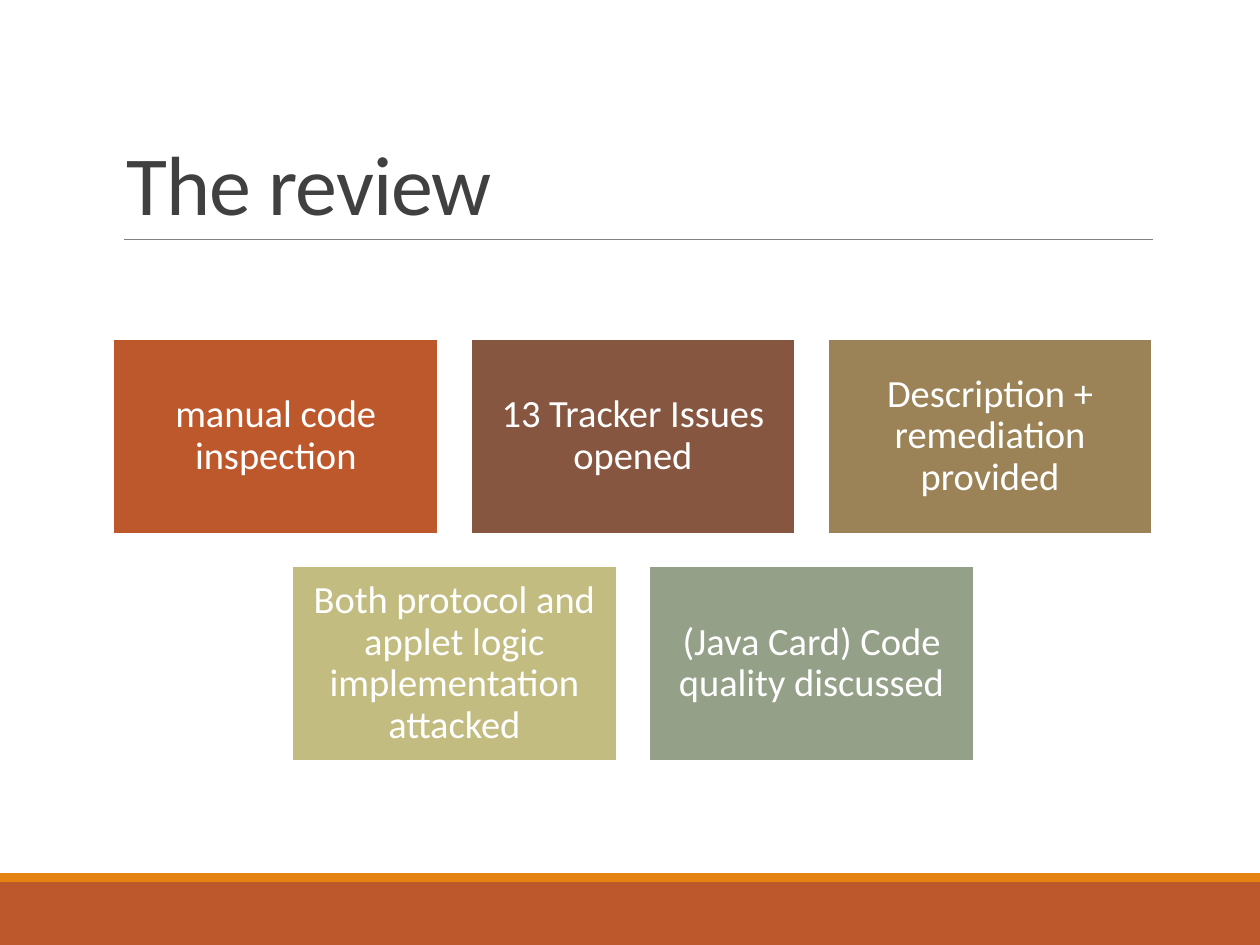
from pptx import Presentation
from pptx import util as u
from pptx.dml.color import RGBColor
from pptx.enum import shapes, text
from lxml import etree

COLORS = {
    "rust": "BD582C", "orange": "E48312", "brown": "865640", "tan": "9B8357",
    "olive": "C2BC80", "sage": "94A088", "rule": "808080",
    "heading": "404040", "white": "FFFFFF",
}


def write(shape, words, size, color, align, anchor, spacing, margins, tracking=0):
    """Put one formatted paragraph into a shape; margins are (sides, top and bottom) in cm."""
    frame = shape.text_frame
    frame.word_wrap = True
    frame.auto_size = text.MSO_AUTO_SIZE.NONE
    frame.vertical_anchor = anchor
    frame.margin_left = frame.margin_right = u.Cm(margins[0])
    frame.margin_top = frame.margin_bottom = u.Cm(margins[1])
    paragraph = frame.paragraphs[0]
    paragraph.alignment = align
    paragraph.line_spacing = spacing
    run = paragraph.add_run()
    run.text = words
    run.font.name = "Calibri"
    run.font.size = u.Pt(size)
    run.font.color.rgb = RGBColor.from_string(COLORS[color])
    if tracking:
        run.font._element.set("spc", str(int(tracking * 100)))


def add_block(left, top, width, height, color, outline=None):
    """Draw a filled rectangle, measured in cm, with an optional outline."""
    block = slide.shapes.add_shape(
        shapes.MSO_SHAPE.RECTANGLE, u.Cm(left), u.Cm(top), u.Cm(width), u.Cm(height))
    block.shadow.inherit = False
    block.fill.solid()
    block.fill.fore_color.rgb = RGBColor.from_string(COLORS[color])
    if outline:
        block.line.color.rgb = RGBColor.from_string(COLORS[outline])
        block.line.width = u.Pt(1.25)
    else:
        block.line.fill.background()
    return block


deck = Presentation()
deck.slide_width, deck.slide_height = u.Cm(25.4), u.Cm(19.05)
slide = deck.slides.add_slide(deck.slide_layouts[5])

# Footer bands
add_block(0, 17.78, 25.4, 1.27, "rust")
add_block(0, 17.6, 25.4, 0.18, "orange")

# Title and the rule below it
title = slide.shapes.title
title.left, title.top = u.Cm(2.29), u.Cm(0.79)
title.width, title.height = u.Cm(20.95), u.Cm(4.04)
write(title, "The review", size=48, color="heading", align=text.PP_ALIGN.LEFT,
      anchor=text.MSO_ANCHOR.BOTTOM, spacing=0.85, margins=(0.25, 0.13), tracking=-0.5)

title_rule = slide.shapes.add_connector(
    shapes.MSO_CONNECTOR.STRAIGHT, u.Cm(2.49), u.Cm(4.83), u.Cm(23.24), u.Cm(4.83))
title_rule.line.color.rgb = RGBColor.from_string(COLORS["rule"])
title_rule.line.width = u.Pt(0.5)
etree.SubElement(
    title_rule._element.spPr,
    "{http://schemas.openxmlformats.org/drawingml/2006/main}effectLst")

# Findings: rows of equal cards, each row centred on the same axis
card_width, card_height, gap = 6.55, 3.93, 0.65
center, first_top = 12.76, 6.83
finding_rows = [
    [("manual code inspection", "rust"),
     ("13 Tracker Issues opened", "brown"),
     ("Description + remediation provided", "tan")],
    [("Both protocol and applet logic implementation attacked", "olive"),
     ("(Java Card) Code quality discussed", "sage")],
]
for row, findings in enumerate(finding_rows):
    row_width = len(findings) * (card_width + gap) - gap
    top = first_top + row * (card_height + gap)
    for column, (finding, color) in enumerate(findings):
        left = center - row_width / 2 + column * (card_width + gap)
        card = add_block(left, top, card_width, card_height, color, outline="white")
        write(card, finding, size=22, color="white", align=text.PP_ALIGN.CENTER,
              anchor=text.MSO_ANCHOR.MIDDLE, spacing=0.9, margins=(0.23, 0.23))

deck.save("out.pptx")
